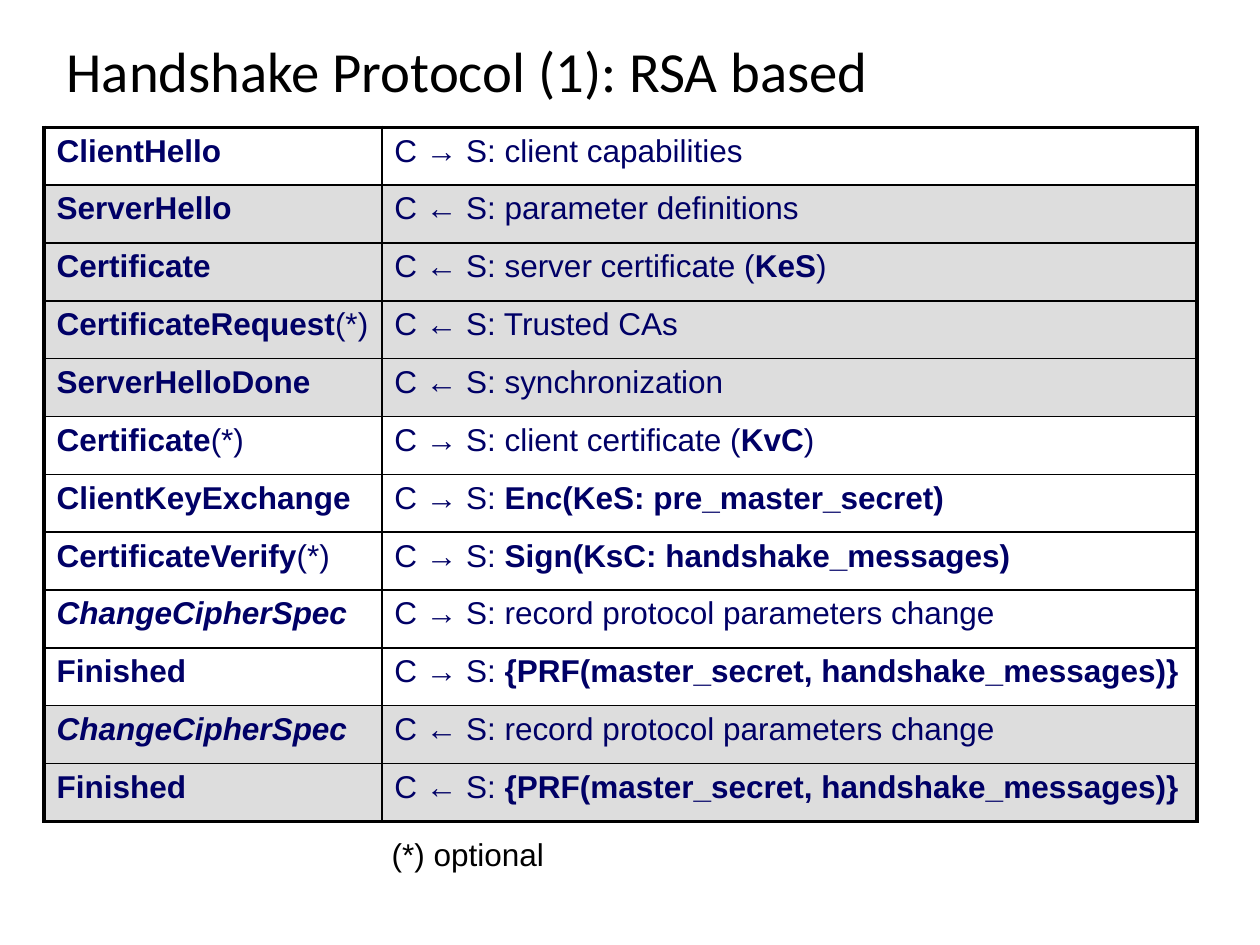
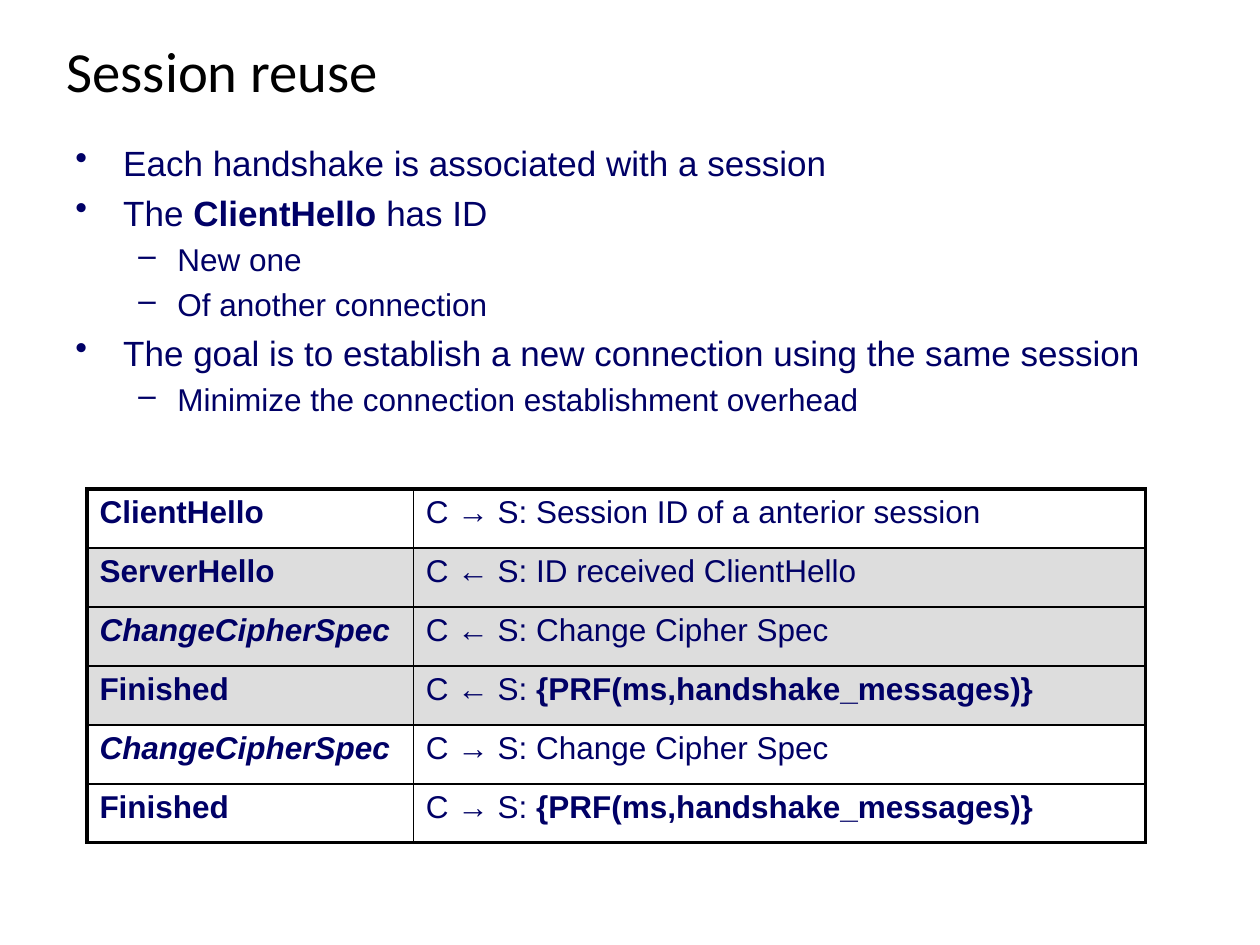
from dataclasses import dataclass
from typing import Optional

import pptx
import pptx.dml.color
import pptx.enum.text
import pptx.util
from lxml import etree
from pptx.oxml.ns import qn

WIDTH, HEIGHT = pptx.util.Inches(10), pptx.util.Inches(7.5)
COLUMNS, ROWS = 100, 75  # the layout grid of a slide
BLACK, NAVY, GREY = "000000", "000066", "DDDDDD"
BODY_FONT, TITLE_FONT = "Arial", "Calibri"
OUTER_LINE, INNER_LINE = 2.25, 1
BULLETS = {0: ("•", 3.8, 3.8, 20), 1: ("–", 8.1, 3.1, 18)}  # mark, indent, hang, size


@dataclass
class Box:
    """A rectangle in grid columns and rows."""
    left: float
    top: float
    width: float
    height: float


@dataclass
class Message:
    """One handshake message; parts of detail between bars are bold."""
    name: str
    to_server: bool
    detail: str
    optional: bool = False


@dataclass
class Bullet:
    """One list line; parts of text between bars are bold."""
    text: str
    level: int = 0


def x(columns: float) -> int:
    """Turn grid columns into a length."""
    return round(WIDTH * columns / COLUMNS)


def y(rows: float) -> int:
    """Turn grid rows into a length."""
    return round(HEIGHT * rows / ROWS)


def place(box: Box) -> tuple[int, int, int, int]:
    """Give left, top, width and height of a box as lengths."""
    return x(box.left), y(box.top), x(box.width), y(box.height)


def rgb(value: str) -> pptx.dml.color.RGBColor:
    """Turn a hex string into a colour."""
    return pptx.dml.color.RGBColor.from_string(value)


def write(p, text: str, size: float, color: str, font: str = BODY_FONT) -> None:
    """Fill a paragraph, with bold for the parts between bars."""
    p.font.name, p.font.size = font, pptx.util.Pt(size)
    p.font.color.rgb = rgb(color)
    for index, part in enumerate(text.split("|")):
        if part:
            r = p.add_run()
            r.text = part
            r.font.bold = index % 2 == 1


def add_text_frame(s, box: Box):
    """Add a wrapping text box and return its frame."""
    tf = s.shapes.add_textbox(*place(box)).text_frame
    tf.word_wrap = True
    return tf


def add_slide(prs, title: str):
    """Add a blank slide with the shared title."""
    s = prs.slides.add_slide(prs.slide_layouts[6])
    tf = add_text_frame(s, Box(4.3, 2.8, 89.8, 6.1))
    tf.vertical_anchor = pptx.enum.text.MSO_ANCHOR.MIDDLE
    p = tf.paragraphs[0]
    p.line_spacing = 0.9
    write(p, title, 32.4, BLACK, TITLE_FONT)
    return s


def set_borders(cell, outer_sides: str) -> None:
    """Draw four cell borders, heavier on the outer sides."""
    tc_pr = cell._tc.get_or_add_tcPr()
    for index, side in enumerate("LRTB"):
        points = OUTER_LINE if side in outer_sides else INNER_LINE
        line = etree.Element(qn(f"a:ln{side}"), w=str(pptx.util.Pt(points)))
        fill = etree.SubElement(line, qn("a:solidFill"))
        etree.SubElement(fill, qn("a:srgbClr"), val=BLACK)
        tc_pr.insert(index, line)


def add_messages(s, box: Box, name_width: float, messages: list[Message]) -> None:
    """Add a message table, with the server's rows shaded."""
    count = len(messages)
    table = s.shapes.add_table(count, 2, *place(box)).table
    table.first_row = table.horz_banding = False
    table.columns[0].width = x(name_width)
    table.columns[1].width = x(box.width - name_width)
    for i, message in enumerate(messages):
        table.rows[i].height = y(box.height / count)
        name = f"|{message.name}|" + ("(*)" if message.optional else "")
        arrow = "→" if message.to_server else "←"
        row_sides = ("T" if i == 0 else "") + ("B" if i == count - 1 else "")
        for j, text in enumerate((name, f"C {arrow} S: {message.detail}")):
            cell = table.cell(i, j)
            p = cell.text_frame.paragraphs[0]
            write(p, text, 18, NAVY)
            p.font.italic = j == 0 and message.name == "ChangeCipherSpec"
            for r in p.runs:
                r.font.italic = p.font.italic
            if message.to_server:
                cell.fill.background()
            else:
                cell.fill.solid()
                cell.fill.fore_color.rgb = rgb(GREY)
            set_borders(cell, row_sides + "LR"[j])


def add_bullets(s, box: Box, bullets: list[Bullet]) -> None:
    """Add a two-level bullet list."""
    tf = add_text_frame(s, box)
    p: Optional[object] = None
    for bullet in bullets:
        p = tf.add_paragraph() if p is not None else tf.paragraphs[0]
        mark, indent, hang, size = BULLETS[bullet.level]
        p.level = bullet.level
        p.space_before = pptx.util.Pt(0.23 * size)
        write(p, bullet.text, size, NAVY)
        p_pr = p._p.get_or_add_pPr()
        p_pr.set("marL", str(x(indent)))
        p_pr.set("indent", str(-x(hang)))
        mark_element = etree.Element(qn("a:buChar"), char=mark)
        p_pr.find(qn("a:defRPr")).addprevious(mark_element)


def build_rsa_handshake(prs) -> None:
    """Build the slide on the RSA based handshake."""
    s = add_slide(prs, "Handshake Protocol (1): RSA based")
    change = "record protocol parameters change"
    finished = "|{PRF(master_secret, handshake_messages)}|"
    add_messages(s, Box(3.5, 10.1, 91.5, 55.1), 26.8, [
        Message("ClientHello", True, "client capabilities"),
        Message("ServerHello", False, "parameter definitions"),
        Message("Certificate", False, "server certificate (|KeS|)"),
        Message("CertificateRequest", False, "Trusted CAs", optional=True),
        Message("ServerHelloDone", False, "synchronization"),
        Message("Certificate", True, "client certificate (|KvC|)", optional=True),
        Message("ClientKeyExchange", True, "|Enc(KeS: pre_master_secret)|"),
        Message("CertificateVerify", True, "|Sign(KsC: handshake_messages)|",
                optional=True),
        Message("ChangeCipherSpec", True, change),
        Message("Finished", True, finished),
        Message("ChangeCipherSpec", False, change),
        Message("Finished", False, finished),
    ])
    tf = add_text_frame(s, Box(30.1, 65.8, 64.9, 3.3))
    write(tf.paragraphs[0], "(*) optional", 18, BLACK)


def build_session_reuse(prs) -> None:
    """Build the slide on session reuse."""
    s = add_slide(prs, "Session reuse")
    change, finished = "Change Cipher Spec", "|{PRF(ms,handshake_messages)}|"
    add_messages(s, Box(6.9, 38.8, 84, 28.1), 25.9, [
        Message("ClientHello", True, "Session ID of a anterior session"),
        Message("ServerHello", False, "ID received ClientHello"),
        Message("ChangeCipherSpec", False, change),
        Message("Finished", False, finished),
        Message("ChangeCipherSpec", True, change),
        Message("Finished", True, finished),
    ])
    add_bullets(s, Box(5, 10.7, 90, 25.2), [
        Bullet("Each handshake is associated with a session"),
        Bullet("The |ClientHello| has ID"),
        Bullet("New one", 1),
        Bullet("Of another connection", 1),
        Bullet("The goal is to establish a new connection using the same session"),
        Bullet("Minimize the connection establishment overhead", 1),
    ])


def main() -> None:
    """Build and save the presentation."""
    prs = pptx.Presentation()
    prs.slide_width, prs.slide_height = WIDTH, HEIGHT
    build_rsa_handshake(prs)
    build_session_reuse(prs)
    prs.save("out.pptx")


main()
